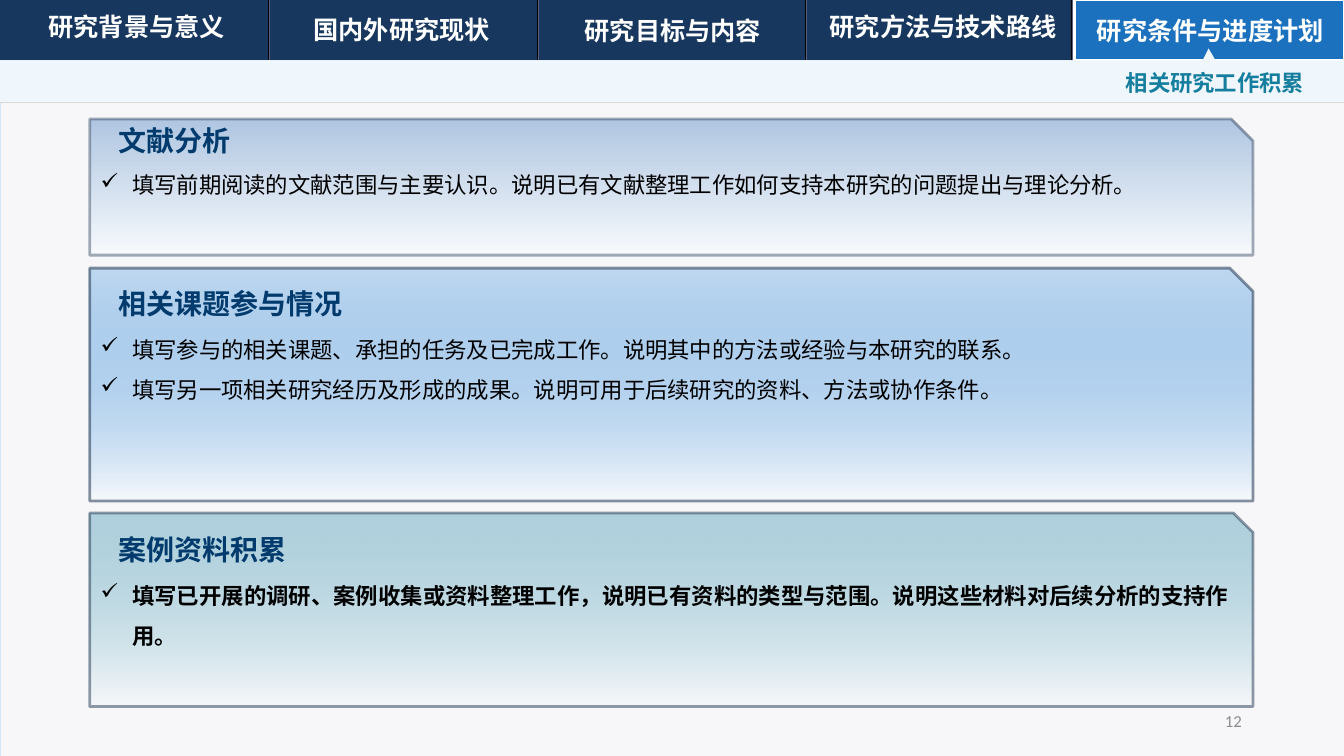
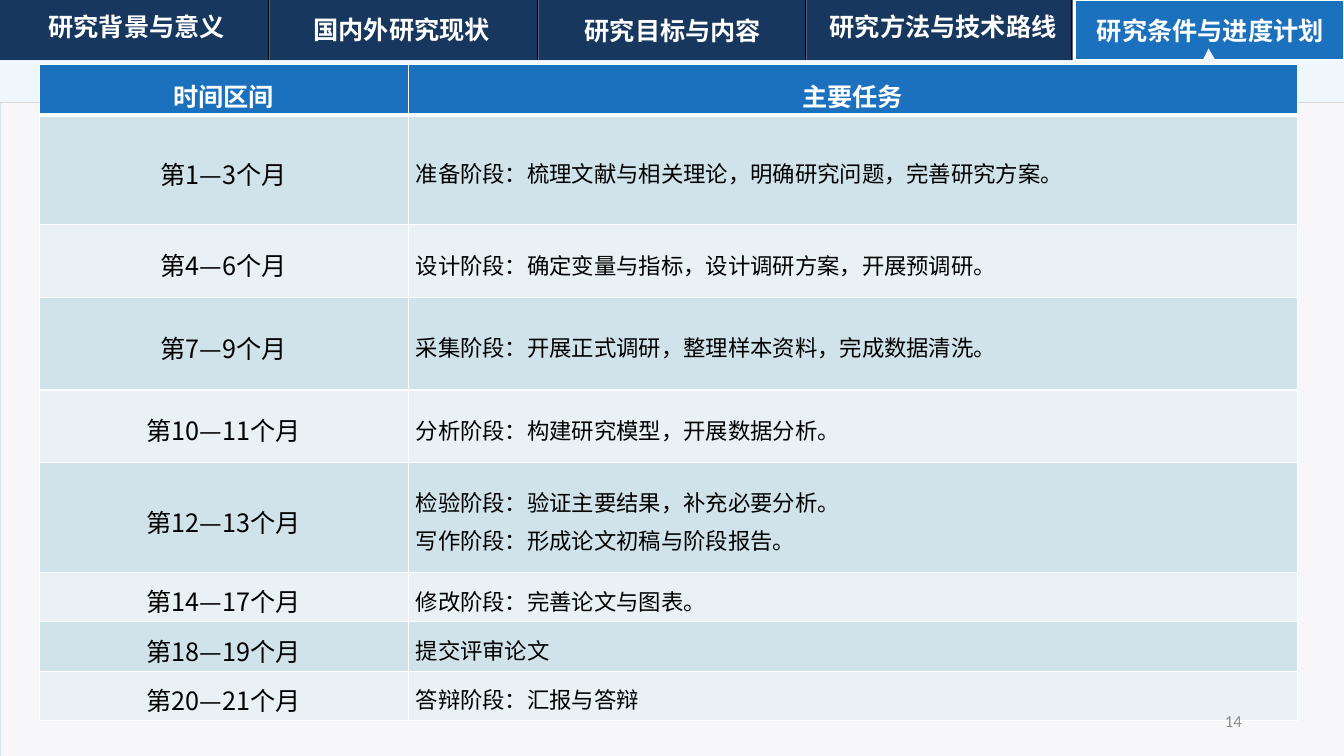
from lxml import etree
from pptx import Presentation
from pptx.dml.color import RGBColor
from pptx.enum import shapes, text
from pptx.oxml import ns
from pptx.util import Pt

# Shared look
rgb = RGBColor.from_string
FONT = "Noto Sans CJK SC"
WHITE, BLACK, NAVY, BLUE = "FFFFFF", "000000", "17375E", "1C71BE"
TEAL, HEADING, PALE, GREY = "157E9F", "013B6D", "F6F9FC", "8C8C8C"
LEFT, CENTER, RIGHT, JUSTIFY = (
    text.PP_ALIGN.LEFT, text.PP_ALIGN.CENTER, text.PP_ALIGN.RIGHT, text.PP_ALIGN.JUSTIFY)
MIDDLE = text.MSO_ANCHOR.MIDDLE
WIDTH, HEIGHT, BAR, BAND_END = 960, 540, 43.2, 73.4


def add_child(parent, tag, **attributes):
    return etree.SubElement(parent, ns.qn(tag), attributes)


def write(frame, words, size, colour, bold=False, align=LEFT, spacing=None,
          anchor=None, wrap=True, font=FONT):
    frame.text = words
    frame.word_wrap = wrap
    if anchor is not None:
        frame.vertical_anchor = anchor
    for paragraph in frame.paragraphs:
        paragraph.alignment = align
        paragraph.line_spacing = spacing
        for run in paragraph.runs:
            run.font.size = Pt(size)
            run.font.bold = bold
            run.font.color.rgb = rgb(colour)
            run.font.name = font
            add_child(run._r.get_or_add_rPr(), "a:ea", typeface=font)


presentation = Presentation()
presentation.slide_width, presentation.slide_height = Pt(WIDTH), Pt(HEIGHT)
blank = presentation.slide_layouts[6]
slides = [presentation.slides.add_slide(blank) for _ in range(2)]

# Navigation bar: left, top and wording of each tab
tabs = [
    (2.2, 4.3, "研究背景与意义"),
    (191.5, 6.5, "国内外研究现状"),
    (385.2, 7.2, "研究目标与内容"),
    (578.2, 4.3, "研究方法与技术路线"),
    (769, 7.2, "研究条件与进度计划"),
]
# Panels: left, top, width, height, fill, line, line width
panels = [
    (0, 0, WIDTH, BAR, NAVY, None, 0),
    (0, BAR, WIDTH, HEIGHT - BAR, "F7F7F9", "D4E7F9", 0.5),
    (767.5, 0, 192.5, BAR, BLUE, WHITE, 2),
]
# Rules: start x, start y, end x, end y, colour, width
rules = [(0, BAND_END, WIDTH, BAND_END, "D9D9D9", 0.5)]
for x in (191.5, 383.7, 575.2, 765.4):
    rules.append((x, 0, x, BAR, BLACK, 0.5))
    rules.append((x + 1, 0, x + 1, BAR, "596181", 0.75))
band_outline = [(868.3, BAR), (WIDTH, BAR), (WIDTH, BAND_END),
                (0, BAND_END), (0, BAR), (859, BAR)]

for slide in slides:
    for left, top, width, height, fill, line, line_width in panels:
        panel = slide.shapes.add_shape(
            shapes.MSO_SHAPE.RECTANGLE, Pt(left), Pt(top), Pt(width), Pt(height))
        panel.shadow.inherit = False
        panel.fill.solid()
        panel.fill.fore_color.rgb = rgb(fill)
        if line:
            panel.line.color.rgb = rgb(line)
            panel.line.width = Pt(line_width)
        else:
            panel.line.fill.background()

    # Soft shadow on the active tab, the last panel
    effects = panel._element.spPr.find(ns.qn("a:effectLst"))
    shadow = add_child(effects, "a:outerShdw", blurRad=str(Pt(3)), dist="0", dir="16200000")
    shadow_colour = add_child(shadow, "a:srgbClr", val=BLACK)
    add_child(shadow_colour, "a:alpha", val="20000")

    # Subtitle band with its pointer
    builder = slide.shapes.build_freeform(Pt(863.3), Pt(34.6))
    builder.add_line_segments([(Pt(x), Pt(y)) for x, y in band_outline], close=True)
    band = builder.convert_to_shape()
    band.shadow.inherit = False
    band.fill.solid()
    band.fill.fore_color.rgb = rgb("EFF6FC")
    band.line.fill.background()

    for x1, y1, x2, y2, colour, width in rules:
        rule = slide.shapes.add_connector(
            shapes.MSO_CONNECTOR.STRAIGHT, Pt(x1), Pt(y1), Pt(x2), Pt(y2))
        rule.line.color.rgb = rgb(colour)
        rule.line.width = Pt(width)
        add_child(rule._element.spPr, "a:effectLst")

    for left, top, label in tabs:
        box = slide.shapes.add_textbox(Pt(left), Pt(top), Pt(191), Pt(29.5))
        write(box.text_frame, label, 18, WHITE, True, CENTER, anchor=MIDDLE)

# Slide 1: subtitle
work_slide, plan_slide = slides
subtitle = work_slide.shapes.add_textbox(Pt(797), Pt(45.4), Pt(145.4), Pt(26.6))
write(subtitle.text_frame, "相关研究工作积累", 16, TEAL, True, anchor=MIDDLE, wrap=False)

# Slide 1: cards with top, height, snip, top colour, opacities (bottom, top, line),
# heading top, body top, bold body, heading, body
cards = [
    (85, 97.2, 0.16, "B0C6E1", (100, 100, 41), 85, 109.4, False, "文献分析",
     "填写前期阅读的文献范围与主要认识。说明已有文献整理工作如何支持本研究的问题提出与理论分析。"),
    (191.5, 166.3, 0.1, "207FD6", (100, 26, 55), 200.9, 226.8, False, "相关课题参与情况",
     "填写参与的相关课题、承担的任务及已完成工作。说明其中的方法或经验与本研究的联系。\n"
     "填写另一项相关研究经历及形成的成果。说明可用于后续研究的资料、方法或协作条件。"),
    (366.5, 138.2, 0.1, TEAL, (60, 32, 50), 376.6, 402.5, True, "案例资料积累",
     "填写已开展的调研、案例收集或资料整理工作，说明已有资料的类型与范围。"
     "说明这些材料对后续分析的支持作用。"),
]
for (top, height, snip, colour, opacities, heading_top, body_top, bold,
     heading, body) in cards:
    card = work_slide.shapes.add_shape(
        shapes.MSO_SHAPE.SNIP_1_RECTANGLE, Pt(64.1), Pt(top), Pt(830.9), Pt(height))
    card.adjustments[0] = snip
    card.shadow.inherit = False
    card.fill.gradient()
    card.fill.gradient_angle = 90
    for stop, stop_colour in zip(card.fill.gradient_stops, (PALE, colour)):
        stop.color.rgb = rgb(stop_colour)
    card.line.color.rgb = rgb("233953")
    card.line.width = Pt(2)
    card_colours = list(card._element.spPr.iter(ns.qn("a:srgbClr")))
    for element, opacity in zip(card_colours, opacities):
        if opacity < 100:
            add_child(element, "a:alpha", val=str(opacity * 1000))

    box = work_slide.shapes.add_textbox(Pt(77.5), Pt(heading_top), Pt(388.8), Pt(31.7))
    write(box.text_frame, heading, 20, HEADING, True)
    box = work_slide.shapes.add_textbox(
        Pt(64.8), Pt(body_top), Pt(820.8), Pt(top + height - body_top - 10.8))
    write(box.text_frame, body, 16, BLACK, bold, JUSTIFY, 1.5)
    for paragraph in box.text_frame.paragraphs:
        properties = paragraph._p.get_or_add_pPr()
        properties.set("marL", str(Pt(22.5)))
        properties.set("indent", str(-Pt(22.5)))
        add_child(properties, "a:buChar", char="✓")

# Slide 2: schedule table with row height, period, task
schedule = [
    (36, "时间区间", "主要任务"),
    (78.5, "第1—3个月", "准备阶段：梳理文献与相关理论，明确研究问题，完善研究方案。"),
    (51.8, "第4—6个月", "设计阶段：确定变量与指标，设计调研方案，开展预调研。"),
    (66.2, "第7—9个月", "采集阶段：开展正式调研，整理样本资料，完成数据清洗。"),
    (51.8, "第10—11个月", "分析阶段：构建研究模型，开展数据分析。"),
    (78.5, "第12—13个月",
     "检验阶段：验证主要结果，补充必要分析。\n写作阶段：形成论文初稿与阶段报告。"),
    (35.3, "第14—17个月", "修改阶段：完善论文与图表。"),
    (35.3, "第18—19个月", "提交评审论文"),
    (35.3, "第20—21个月", "答辩阶段：汇报与答辩"),
]
column_widths = (263.5, 635)
table = plan_slide.shapes.add_table(
    len(schedule), 2, Pt(28.1), Pt(46.1), Pt(sum(column_widths)),
    Pt(sum(row[0] for row in schedule))).table
for column, width in zip(table.columns, column_widths):
    column.width = Pt(width)
for row_index, (height, *entries) in enumerate(schedule):
    table.rows[row_index].height = Pt(height)
    header = row_index == 0
    for column_index, entry in enumerate(entries):
        cell = table.cell(row_index, column_index)
        properties = cell._tc.get_or_add_tcPr()
        for side in "LRTB":
            thick = (header and side == "B") or (row_index == 1 and side == "T")
            border = add_child(properties, "a:ln" + side, w=str(Pt(3 if thick else 1)))
            add_child(add_child(border, "a:solidFill"), "a:srgbClr", val=WHITE)
        cell.fill.solid()
        if header:
            cell.fill.fore_color.rgb = rgb(BLUE)
            write(cell.text_frame, entry, 18, WHITE, True, CENTER, 1.2)
            continue
        cell.fill.fore_color.rgb = rgb("D0E3EA" if row_index % 2 else "E9F1F5")
        cell.vertical_anchor = MIDDLE
        cell.margin_left = cell.margin_right = Pt(5.4)
        cell.margin_top = cell.margin_bottom = 0
        size, align = ((18, CENTER), (16, LEFT))[column_index]
        write(cell.text_frame, entry, size, BLACK, False, align, 1.2)

# Page numbers, in front of everything else
for slide, number in zip(slides, ("12", "14")):
    box = slide.shapes.add_textbox(Pt(678.2), Pt(500.4), Pt(216), Pt(28.8))
    write(box.text_frame, number, 12, GREY, align=RIGHT, anchor=MIDDLE, font="Calibri")

presentation.save("out.pptx")
